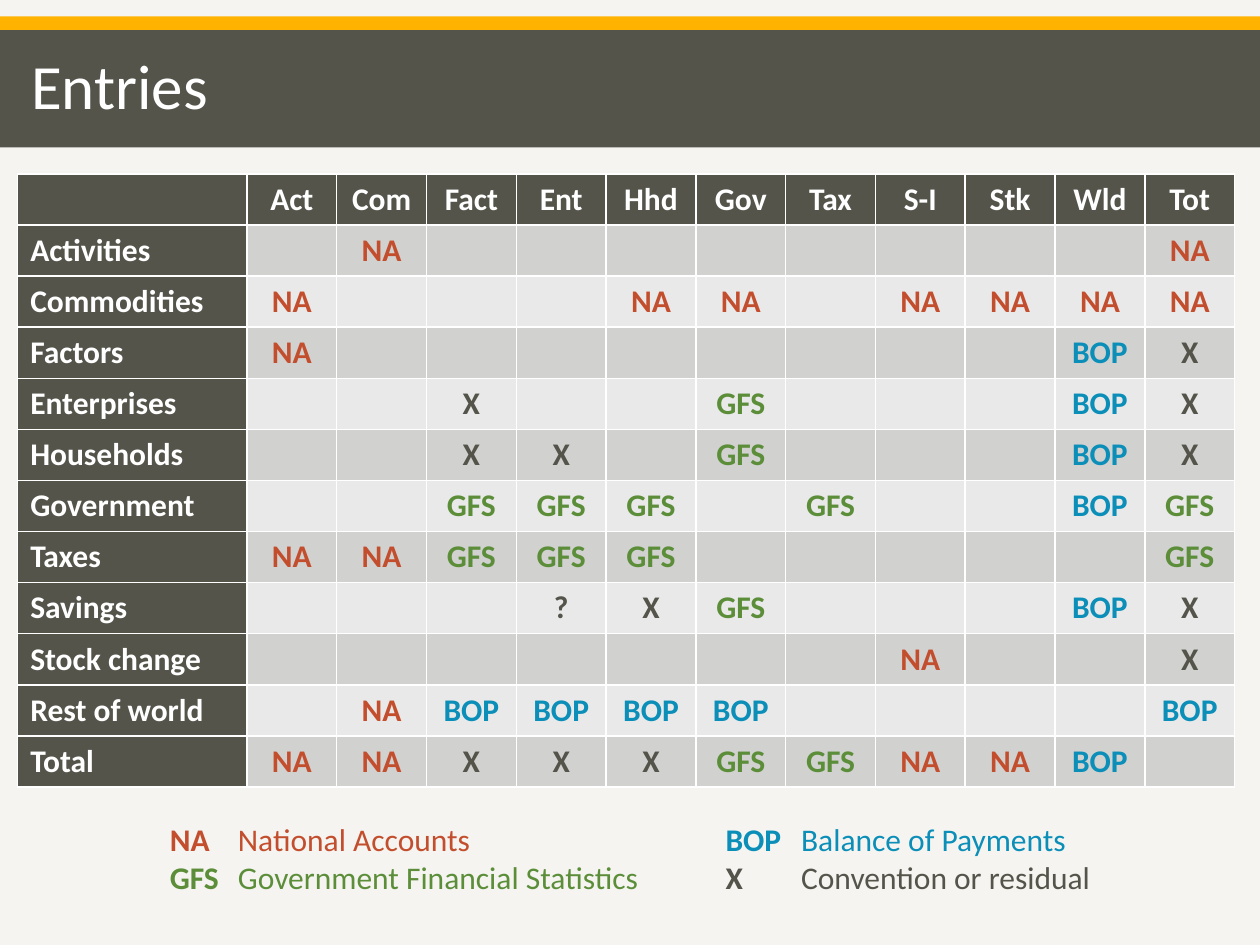
from lxml.etree import SubElement
from pptx import Presentation
from pptx.dml.color import RGBColor
from pptx.enum.shapes import MSO_SHAPE
from pptx.enum.text import MSO_ANCHOR, MSO_AUTO_SIZE, PP_ALIGN
from pptx.oxml.ns import qn
from pptx.util import Inches, Pt

SLIDE_WIDTH, SLIDE_HEIGHT = Inches(10), Inches(7.5)
FONT = "Calibri"
WHITE, PAPER, AMBER, SLATE = "FFFFFF", "F5F4F0", "FFB300", "54544B"
BANDS = ("D1D1D0", "E9E9E9")
SOURCE_COLOURS = {"NA": "C34E2D", "GFS": "5C8E3A", "BOP": "0B8EB8", "X": SLATE, "?": SLATE}

# One line per row; a dot is an empty cell
HEADINGS = "Act Com Fact Ent Hhd Gov Tax S-I Stk Wld Tot".split()
ENTRIES = {
    "Activities":    ". NA . . . . . . . . NA",
    "Commodities":   "NA . . . NA NA . NA NA NA NA",
    "Factors":       "NA . . . . . . . . BOP X",
    "Enterprises":   ". . X . . GFS . . . BOP X",
    "Households":    ". . X X . GFS . . . BOP X",
    "Government":    ". . GFS GFS GFS . GFS . . BOP GFS",
    "Taxes":         "NA NA GFS GFS GFS . . . . . GFS",
    "Savings":       ". . . ? X GFS . . . BOP X",
    "Stock change":  ". . . . . . . NA . . X",
    "Rest of world": ". NA BOP BOP BOP BOP . . . . BOP",
    "Total":         "NA NA X X X GFS GFS NA NA BOP .",
}
LEFT_LEGEND = [("NA", "National Accounts"), ("GFS", "Government Financial Statistics")]
RIGHT_LEGEND = [("BOP", "Balance of Payments"), ("X", "Convention or residual")]


def colour(hex_value):
    return RGBColor.from_string(hex_value)


def across(percent):
    return round(SLIDE_WIDTH * percent / 100)


def down(percent):
    return round(SLIDE_HEIGHT * percent / 100)


def area(left, top, width, height):
    """Turn percentages of the slide into lengths."""
    return across(left), down(top), across(width), down(height)


def add_span(para, text, size, hex_value, bold=False):
    span = para.add_run()
    span.text = text
    span.font.name = FONT
    span.font.size = Pt(size)
    span.font.bold = bold
    span.font.color.rgb = colour(hex_value)


def add_band(page, top, height, hex_value):
    band = page.shapes.add_shape(MSO_SHAPE.RECTANGLE, *area(0, top, 100, height))
    band.shadow.inherit = False
    band.fill.solid()
    band.fill.fore_color.rgb = colour(hex_value)
    band.line.fill.background()


def add_title(page, text):
    frame = page.shapes.add_textbox(*area(1.5, 3.2, 88.3, 12.4)).text_frame
    frame.word_wrap = True
    frame.vertical_anchor = MSO_ANCHOR.MIDDLE
    para = frame.paragraphs[0]
    para.line_spacing = 0.9
    add_span(para, text, 36, WHITE)


def add_borders(cell):
    properties = cell._tc.get_or_add_tcPr()
    for side in ("lnL", "lnR", "lnT", "lnB"):
        line = SubElement(properties, qn(f"a:{side}"), w=str(Pt(1)))
        fill = SubElement(line, qn("a:solidFill"))
        SubElement(fill, qn("a:srgbClr"), val=WHITE)


def fill_cell(cell, text, fill, text_colour, align):
    add_borders(cell)
    cell.fill.solid()
    cell.fill.fore_color.rgb = colour(fill)
    para = cell.text_frame.paragraphs[0]
    para.alignment = align
    if text:
        add_span(para, text, 18, text_colour, bold=True)
    else:
        para.font.size = Pt(18)


def add_entry_table(page):
    rows = [["", *HEADINGS]]
    rows += [[name, *line.replace(".", "").split(" ")] for name, line in ENTRIES.items()]
    table = page.shapes.add_table(len(rows), len(rows[0]), *area(1.4, 18.4, 96.6, 64.93)).table
    table.first_row = table.horz_banding = False
    for number, column in enumerate(table.columns):
        column.width = across((96.6 - 18.2) / len(HEADINGS) if number else 18.2)
    for row_number, row in enumerate(rows):
        for column_number, text in enumerate(row):
            is_label = row_number == 0 or column_number == 0
            fill = SLATE if is_label else BANDS[(row_number - 1) % 2]
            text_colour = WHITE if is_label else SOURCE_COLOURS.get(text, SLATE)
            align = PP_ALIGN.CENTER if column_number else PP_ALIGN.LEFT
            fill_cell(table.cell(row_number, column_number), text, fill, text_colour, align)


def add_legend(page, left, tab, items):
    frame = page.shapes.add_textbox(*area(left, 86.13, 40.2, 9.47)).text_frame
    frame.word_wrap = True
    frame.auto_size = MSO_AUTO_SIZE.SHAPE_TO_FIT_TEXT
    for number, (code, meaning) in enumerate(items):
        para = frame.add_paragraph() if number else frame.paragraphs[0]
        stops = SubElement(para._p.get_or_add_pPr(), qn("a:tabLst"))
        SubElement(stops, qn("a:tab"), pos=str(across(tab)), algn="l")
        add_span(para, code + "\t", 18, SOURCE_COLOURS[code], bold=True)
        add_span(para, meaning, 18, SOURCE_COLOURS[code])


def main():
    deck = Presentation()
    deck.slide_width, deck.slide_height = SLIDE_WIDTH, SLIDE_HEIGHT
    page = deck.slides.add_slide(deck.slide_layouts[6])
    page.background.fill.solid()
    page.background.fill.fore_color.rgb = colour(PAPER)

    # Heading
    add_band(page, 1.73, 1.47, AMBER)
    add_band(page, 3.2, 12.4, SLATE)
    add_title(page, "Entries")

    # Matrix of data sources
    add_entry_table(page)

    # Key to the sources
    add_legend(page, 12.5, 5.4, LEFT_LEGEND)
    add_legend(page, 56.6, 6, RIGHT_LEGEND)

    deck.save("out.pptx")


if __name__ == "__main__":
    main()
